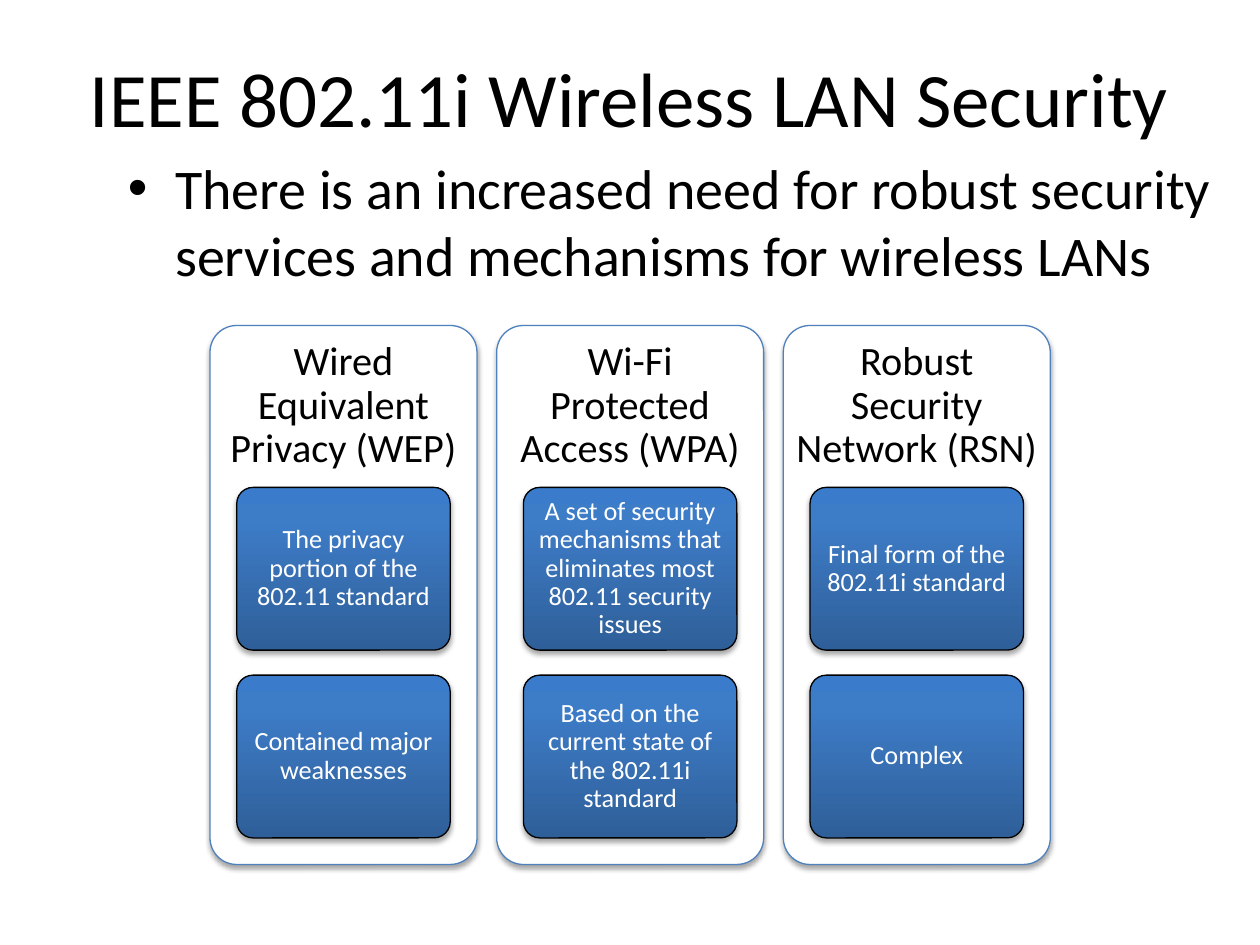
from copy import deepcopy

from lxml import etree
from pptx import Presentation
from pptx.dml.color import RGBColor
from pptx.enum.shapes import MSO_SHAPE
from pptx.enum.text import MSO_ANCHOR, PP_ALIGN
from pptx.oxml import parse_xml
from pptx.oxml.ns import nsdecls, qn
from pptx.util import Pt

ROUNDED = MSO_SHAPE.ROUNDED_RECTANGLE
TOP, MIDDLE = MSO_ANCHOR.TOP, MSO_ANCHOR.MIDDLE
LEFT, CENTER = PP_ALIGN.LEFT, PP_ALIGN.CENTER

COLORS = {"black": "000000", "white": "FFFFFF", "card_line": "4F81BD"}
GRADIENT = [(0, "2F5F99"), (0.8, "3D7CC7"), (1, "3A7CCB")]
SHADOW = (
    f'<a:outerShdw {nsdecls("a")} blurRad="{Pt(3.1)}" dist="{Pt(1.8)}" '
    'dir="5400000" rotWithShape="0"><a:srgbClr val="000000">'
    '<a:alpha val="35000"/></a:srgbClr></a:outerShdw>'
)

COLUMNS = [
    ("Wired Equivalent Privacy (WEP)",
     ["The privacy portion of the 802.11 standard",
      "Contained major weaknesses"]),
    ("Wi-Fi Protected Access (WPA)",
     ["A set of security mechanisms that eliminates most 802.11 security issues",
      "Based on the current state of the 802.11i standard"]),
    ("Robust Security Network (RSN)",
     ["Final form of the 802.11i standard", "Complex"]),
]
CARD_LEFT, CARD_TOP, CARD_W, CARD_H, CARD_PITCH = 120, 186, 152.6, 308, 163.8
HEADER_H = 92.4
BOX_W, BOX_H, BOX_TOP, BOX_PITCH = 122, 93, 278.5, 107.3


def write(sp, text, size, color, anchor=MIDDLE, align=CENTER, spacing=None,
          insets=(7.2, 3.6)):
    tf = sp.text_frame
    across, down = (Pt(v) for v in insets)
    frame_format = {
        "word_wrap": True, "vertical_anchor": anchor,
        "margin_left": across, "margin_right": across,
        "margin_top": down, "margin_bottom": down,
    }
    for name, value in frame_format.items():
        setattr(tf, name, value)
    p = tf.paragraphs[0]
    p.alignment, p.line_spacing = align, spacing
    r = p.add_run()
    r.text = text
    for name, value in {"name": "Calibri", "size": Pt(size)}.items():
        setattr(r.font, name, value)
    r.font.color.rgb = RGBColor.from_string(COLORS[color])
    return p


def add_panel(s, x, y, w, h, line):
    """Add a rounded rectangle with a thin outline and a soft shadow below."""
    sp = s.shapes.add_shape(ROUNDED, Pt(x), Pt(y), Pt(w), Pt(h))
    sp.adjustments[0] = 0.1
    sp.line.color.rgb = RGBColor.from_string(COLORS[line])
    sp.line.width = Pt(0.75)
    sp.shadow.inherit = False
    sp._element.spPr.find(qn("a:effectLst")).append(parse_xml(SHADOW))
    return sp


prs = Presentation()
prs.slide_width, prs.slide_height = Pt(720), Pt(540)
s = prs.slides.add_slide(prs.slide_layouts[6])

title = s.shapes.add_textbox(Pt(36), Pt(24), Pt(648), Pt(63))
write(title, "IEEE 802.11i Wireless LAN Security", 44, "black")

body = s.shapes.add_textbox(Pt(66), Pt(84), Pt(636), Pt(338))
p = write(body, "There is an increased need for robust security services and "
          "mechanisms for wireless LANs", 32, "black", TOP, LEFT)
pPr = p._p.get_or_add_pPr()
pPr.set("marL", str(Pt(27)))
pPr.set("indent", str(Pt(-27)))
etree.SubElement(pPr, qn("a:buFont")).set("typeface", "Arial")
etree.SubElement(pPr, qn("a:buChar")).set("char", "•")

for col, (heading, notes) in enumerate(COLUMNS):
    x = CARD_LEFT + col * CARD_PITCH
    card = add_panel(s, x, CARD_TOP, CARD_W, CARD_H, "card_line")
    card.fill.solid()
    card.fill.fore_color.rgb = RGBColor.from_string(COLORS["white"])
    header = s.shapes.add_textbox(Pt(x), Pt(CARD_TOP), Pt(CARD_W), Pt(HEADER_H))
    write(header, heading, 23, "black", spacing=0.9, insets=(7.2, 7.2))

    for row, note in enumerate(notes):
        box = add_panel(s, x + (CARD_W - BOX_W) / 2, BOX_TOP + row * BOX_PITCH,
                        BOX_W, BOX_H, "black")
        box.fill.gradient()
        box.fill.gradient_angle = 90
        stops = box._element.spPr.find(qn("a:gradFill")).find(qn("a:gsLst"))
        stops.append(deepcopy(stops[0]))
        for stop, (position, color) in zip(box.fill.gradient_stops, GRADIENT):
            stop.position = position
            stop.color.rgb = RGBColor.from_string(color)
        write(box, note, 15, "white", spacing=0.9, insets=(0, 0))

prs.save("out.pptx")
